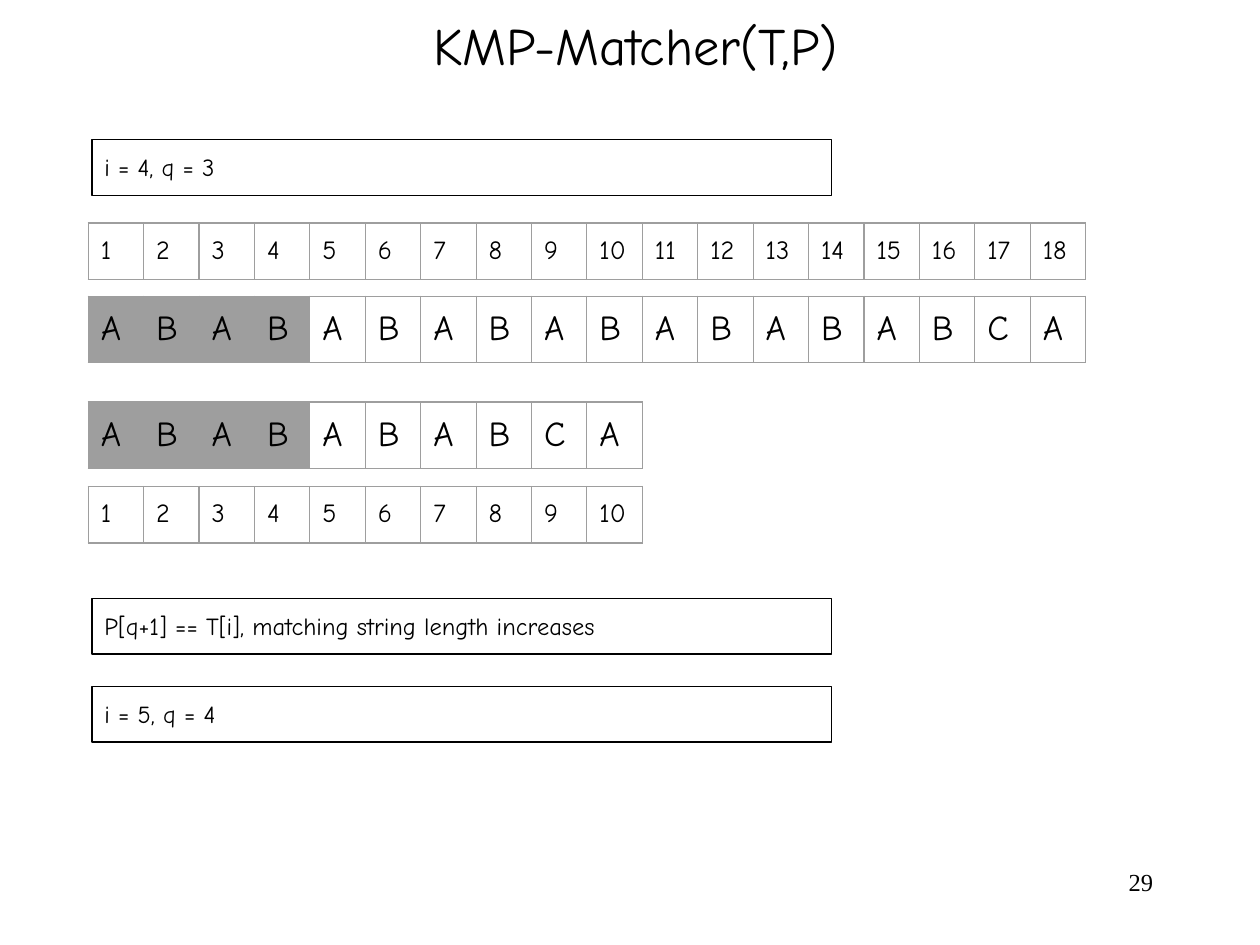
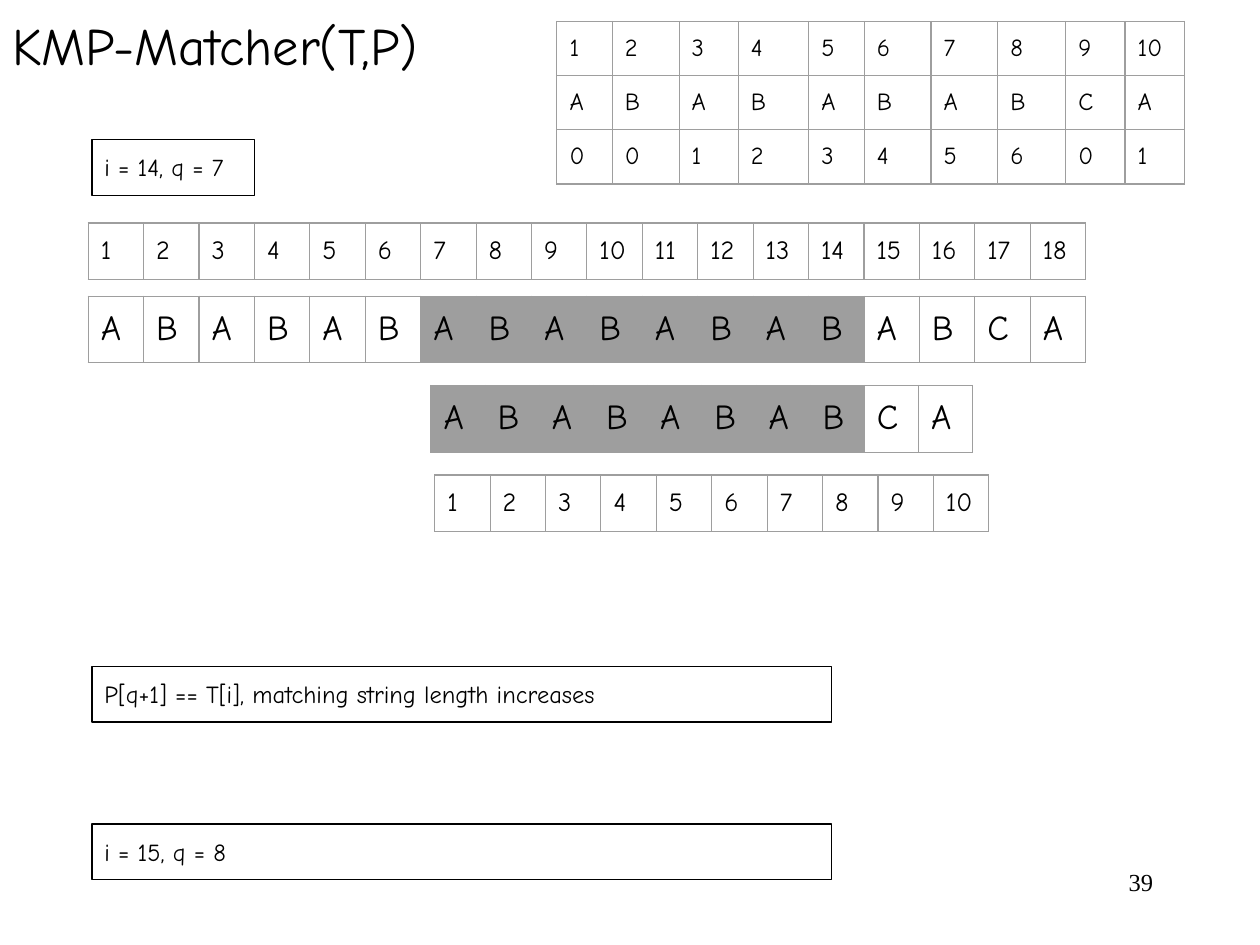
from lxml.etree import SubElement
from pptx import Presentation
from pptx.dml.color import RGBColor
from pptx.enum.shapes import MSO_SHAPE
from pptx.enum.text import MSO_ANCHOR, MSO_AUTO_SIZE, PP_ALIGN
from pptx.oxml.ns import qn
from pptx.util import Inches, Pt

BLACK = RGBColor(0x00, 0x00, 0x00)
WHITE = RGBColor(0xFF, 0xFF, 0xFF)
GREY = RGBColor(0x9E, 0x9E, 0x9E)
BODY_FONT = "Comic Neue"
NUMBER_FONT = "Times New Roman"

TITLE = "KMP-Matcher(T,P)"
MATCH_NOTE = "P[q+1] == T[i], matching string length increases"
TEXT = "ABABABABABABABABCA"
PATTERN = "ABABABABCA"
PREFIX_VALUES = "0012345601"
PREFIX_WIDTHS = [0.44, 0.53, 0.47, 0.56, 0.44, 0.53, 0.53, 0.54, 0.47, 0.47]

GRID_LEFT = 0.7
CELL_WIDTH = 0.44
LETTER_HEIGHT = 0.53
INDEX_HEIGHT = 0.45
PREFIX_HEIGHT = 0.43
STATE_LEFT = 0.73
STATE_WIDTH = 5.87
LETTER_SIZE = 20
INDEX_SIZE = 15
SMALL_SIZE = 14


def write(paragraph, text, size, font_name=BODY_FONT, alignment=PP_ALIGN.LEFT):
    paragraph.alignment = alignment
    run = paragraph.add_run()
    run.text = text
    run.font.size = Pt(size)
    run.font.name = font_name
    run.font.color.rgb = BLACK


def set_frame(text_frame, vertical_margin=0.1):
    text_frame.word_wrap = True
    text_frame.auto_size = MSO_AUTO_SIZE.NONE
    text_frame.vertical_anchor = MSO_ANCHOR.TOP
    text_frame.margin_left = text_frame.margin_right = Inches(0.1)
    text_frame.margin_top = text_frame.margin_bottom = Inches(vertical_margin)


def add_titled_slide(presentation, page, title_width, alignment):
    slide = presentation.slides.add_slide(presentation.slide_layouts[5])
    title = slide.shapes.title
    title.left, title.top = Inches(0), Inches(0)
    title.width, title.height = Inches(title_width), Inches(0.71)
    set_frame(title.text_frame)
    write(title.text_frame.paragraphs[0], TITLE, 30, alignment=alignment)

    number = slide.shapes.add_textbox(Inches(7.17), Inches(6.83), Inches(2.08), Inches(0.5))
    set_frame(number.text_frame, 0.05)
    write(number.text_frame.paragraphs[0], str(page), 14, NUMBER_FONT, PP_ALIGN.RIGHT)
    return slide


def add_state_box(slide, text, top, width=STATE_WIDTH):
    shape = slide.shapes.add_shape(
        MSO_SHAPE.RECTANGLE, Inches(STATE_LEFT), Inches(top), Inches(width), Inches(0.44)
    )
    shape.shadow.inherit = False
    shape.fill.background()
    shape.line.color.rgb = BLACK
    shape.line.width = Pt(0.75)
    set_frame(shape.text_frame)
    write(shape.text_frame.paragraphs[0], text, SMALL_SIZE)


def add_borders(cell):
    properties = cell._tc.get_or_add_tcPr()
    for side in ("a:lnL", "a:lnR", "a:lnT", "a:lnB"):
        line = SubElement(properties, qn(side), w=str(Pt(0.75)))
        fill = SubElement(line, qn("a:solidFill"))
        SubElement(fill, qn("a:srgbClr"), val=str(GREY))


def format_cell(cell, text, size, color):
    cell.margin_left = cell.margin_right = Inches(0.1)
    cell.margin_top = cell.margin_bottom = Inches(0.1)
    add_borders(cell)
    cell.fill.solid()
    cell.fill.fore_color.rgb = color
    write(cell.text_frame.paragraphs[0], text, size)


def add_grid(slide, rows, left, top, widths, row_height, size, matched=()):
    table = slide.shapes.add_table(
        len(rows), len(widths), Inches(left), Inches(top),
        Inches(sum(widths)), Inches(row_height * len(rows)),
    ).table
    table.first_row = False
    table.horz_banding = False
    for column, width in zip(table.columns, widths):
        column.width = Inches(width)
    for row_index, values in enumerate(rows):
        table.rows[row_index].height = Inches(row_height)
        for column_index, value in enumerate(values):
            color = GREY if column_index in matched else WHITE
            format_cell(table.cell(row_index, column_index), value, size, color)


def indexes(string):
    return [str(position) for position in range(1, len(string) + 1)]


def add_letters(slide, string, left, top, matched, cell_width=CELL_WIDTH):
    widths = [cell_width] * len(string)
    add_grid(slide, [string], left, top, widths, LETTER_HEIGHT, LETTER_SIZE, matched)


def add_indexes(slide, string, left, top):
    widths = [CELL_WIDTH] * len(string)
    add_grid(slide, [indexes(string)], left, top, widths, INDEX_HEIGHT, INDEX_SIZE)


def add_prefix_table(slide):
    rows = [indexes(PATTERN), PATTERN, PREFIX_VALUES]
    add_grid(slide, rows, 4.42, 0.17, PREFIX_WIDTHS, PREFIX_HEIGHT, SMALL_SIZE)


def build_fourth_step(presentation):
    slide = add_titled_slide(presentation, 29, 10.09, PP_ALIGN.CENTER)
    add_letters(slide, TEXT, GRID_LEFT, 2.35, range(4))
    add_letters(slide, PATTERN, GRID_LEFT, 3.19, range(4))
    add_state_box(slide, "i = 4, q = 3", 1.11)
    add_state_box(slide, "i = 5, q = 4", 5.45)
    add_state_box(slide, MATCH_NOTE, 4.75)
    add_indexes(slide, TEXT, GRID_LEFT, 1.77)
    add_indexes(slide, PATTERN, GRID_LEFT, 3.86)


def build_fourteenth_step(presentation):
    slide = add_titled_slide(presentation, 39, 3.98, PP_ALIGN.LEFT)
    add_letters(slide, TEXT, GRID_LEFT, 2.35, range(6, 14))
    add_state_box(slide, "i = 14, q = 7", 1.11, 1.29)
    add_state_box(slide, "i = 15, q = 8", 6.54)
    add_indexes(slide, TEXT, GRID_LEFT, 1.77)
    add_indexes(slide, PATTERN, 3.45, 3.77)
    add_prefix_table(slide)
    add_letters(slide, PATTERN, 3.42, 3.06, range(8), 0.43)
    add_state_box(slide, MATCH_NOTE, 5.29)


def main():
    presentation = Presentation()
    presentation.slide_width = Inches(10)
    presentation.slide_height = Inches(7.5)
    build_fourth_step(presentation)
    build_fourteenth_step(presentation)
    presentation.save("out.pptx")


if __name__ == "__main__":
    main()
